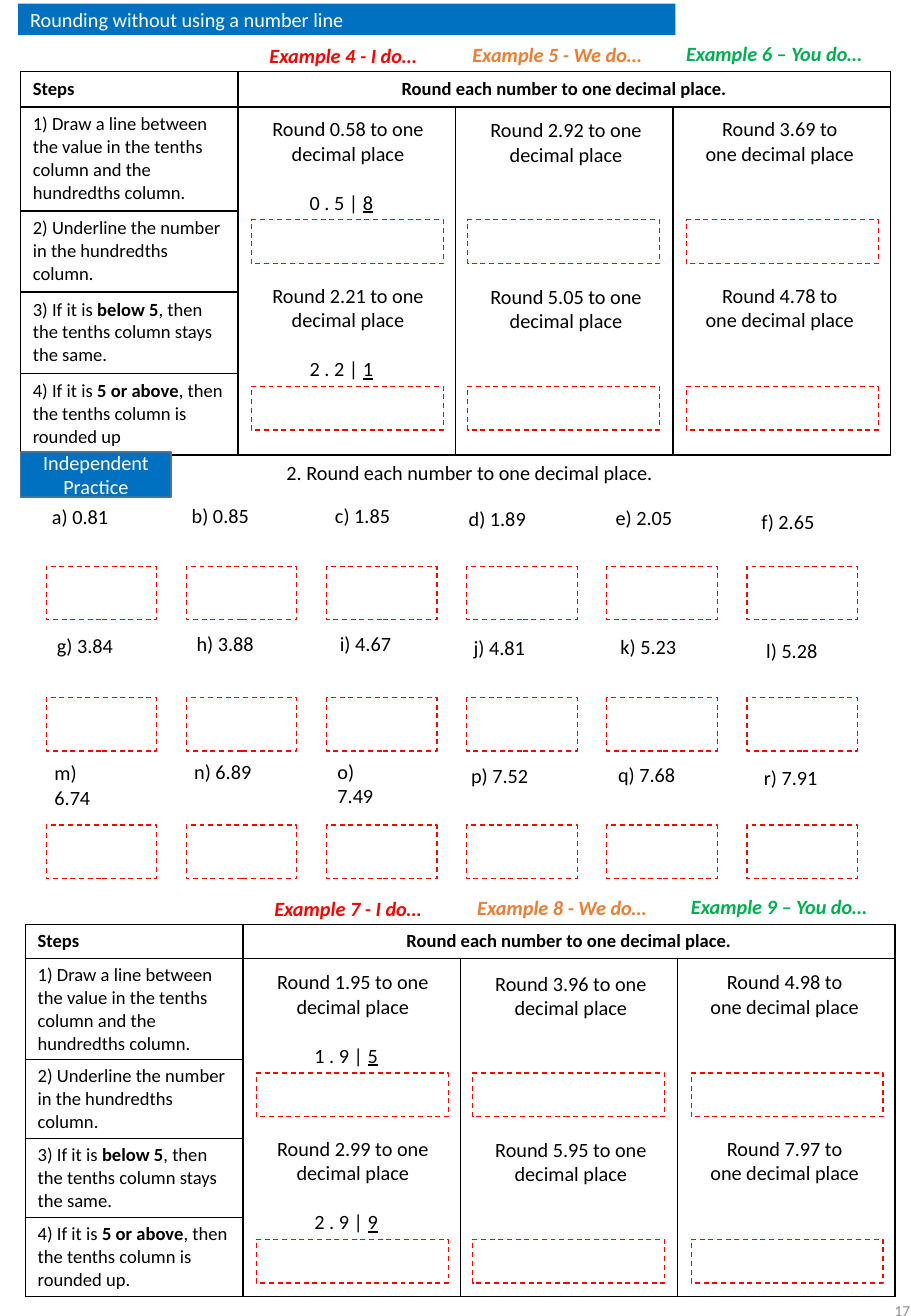
from pptx import Presentation
from pptx.dml.color import RGBColor
from pptx.enum.dml import MSO_LINE
from pptx.enum.shapes import MSO_SHAPE
from pptx.enum.text import MSO_ANCHOR, MSO_AUTO_SIZE, PP_ALIGN
from pptx.oxml import parse_xml
from pptx.oxml.ns import nsdecls
from pptx.util import Inches, Pt

COLOURS = {
    "black": "000000", "white": "FFFFFF", "blue": "0070C0", "edge": "43739E",
    "red": "FF0000", "orange": "ED7D31", "green": "00B050", "grey": "8C8C8C",
}

presentation = Presentation()
presentation.slide_width = Inches(7.5)
presentation.slide_height = Inches(10.83)
slide = presentation.slides.add_slide(presentation.slide_layouts[6])


def write(frame, lines, size=12, colour="black", align=PP_ALIGN.LEFT, emphasis="bold"):
    """Fill a frame; a part between asterisks gets the emphasis."""
    for number, line in enumerate(lines):
        paragraph = frame.paragraphs[0] if number == 0 else frame.add_paragraph()
        paragraph.alignment = align
        paragraph.font.size = Pt(size)
        paragraph.font.name = "Calibri"
        paragraph.font.color.rgb = RGBColor.from_string(COLOURS[colour])
        for index, part in enumerate(line.split("*")):
            if part:
                run = paragraph.add_run()
                run.text = part
                if index % 2:
                    setattr(run.font, emphasis, True)


def add_box(left, top, width, height, fill=None, line=None, wrap=True):
    """Add a rectangle when a fill is given, otherwise a text box."""
    place = [Inches(length) for length in (left, top, width, height)]
    if fill is None:
        shape = slide.shapes.add_textbox(*place)
        shape.text_frame.auto_size = MSO_AUTO_SIZE.SHAPE_TO_FIT_TEXT
    else:
        shape = slide.shapes.add_shape(MSO_SHAPE.RECTANGLE, *place)
        shape.shadow.inherit = False
        shape.fill.solid()
        shape.fill.fore_color.rgb = RGBColor.from_string(COLOURS[fill])
        if line is None:
            shape.line.fill.background()
        else:
            shape.line.color.rgb = RGBColor.from_string(COLOURS[line])
            shape.line.width = Pt(1)
        if line == "red":
            shape.line.width = Pt(0.75)
            shape.line.dash_style = MSO_LINE.DASH
    shape.text_frame.word_wrap = wrap
    return shape


# Worked example blocks: a steps table with three example columns
steps = [
    "1) Draw a line between the value in the tenths column and the hundredths column.",
    "2) Underline the number in the hundredths column.",
    "3) If it is *below 5*, then the tenths column stays the same.",
    "4) If it is *5 or above*, then the tenths column is rounded up",
]
blocks = [
    dict(left=0.17, top=0.59, rows=[0.29, 0.85, 0.67, 0.67, 0.67], margin=0.05, ending="",
         titles=["Example 4 - I do…", "Example 5 - We do…", "Example 6 – You do…"],
         questions=[["0.58", "2.92", "3.69"], ["2.21", "5.05", "4.78"]],
         workings=["0 . 5 | *8*", "2 . 2 | *1*"]),
    dict(left=0.21, top=7.61, rows=[0.28, 0.83, 0.65, 0.65, 0.65], margin=0.04, ending=".",
         titles=["Example 7 - I do…", "Example 8 - We do…", "Example 9 – You do…"],
         questions=[["1.95", "3.96", "4.98"], ["2.99", "5.95", "7.97"]],
         workings=["1 . 9 | *5*", "2 . 9 | *9*"]),
]
# Offsets from the table's corner: left, top, width
title_places = [(1.95, -0.28, 1.54), (3.62, -0.29, 1.82), (5.38, -0.3, 1.8)]
question_places = [(1.92, 0.32, 1.55), (3.6, 0.33, 1.78), (5.53, 0.32, 1.44)]
answer_lefts = [1.9, 3.68, 5.48]
title_colours = ["red", "orange", "green"]
column_width, question_step = 1.79, 1.37

for block in blocks:
    left, top = block["left"], block["top"]
    table = slide.shapes.add_table(5, 4, Inches(left), Inches(top),
                                   Inches(4 * column_width), Inches(sum(block["rows"]))).table
    table.first_row = table.horz_banding = False
    for column in table.columns:
        column.width = Inches(column_width)
    for row, height in zip(table.rows, block["rows"]):
        row.height = Inches(height)

    # Cell borders, fills and small empty paragraphs
    for cell in table.iter_cells():
        properties = cell._tc.get_or_add_tcPr()
        for side in ("lnL", "lnR", "lnT", "lnB"):
            properties.append(parse_xml(
                f'<a:{side} {nsdecls("a")} w="12700"><a:solidFill>'
                f'<a:srgbClr val="{COLOURS["black"]}"/></a:solidFill></a:{side}>'))
        cell.fill.solid()
        cell.fill.fore_color.rgb = RGBColor.from_string(COLOURS["white"])
        cell.margin_top = cell.margin_bottom = Inches(block["margin"])
        cell.text_frame.paragraphs[0]._p.get_or_add_endParaRPr().set("sz", "1100")

    table.cell(0, 1).merge(table.cell(0, 3))
    for column in range(1, 4):
        table.cell(1, column).merge(table.cell(4, column))
    write(table.cell(0, 0).text_frame, ["*Steps*"], 11)
    write(table.cell(0, 1).text_frame, ["*Round each number to one decimal place.*"], 11,
          align=PP_ALIGN.CENTER)
    for row, step in enumerate(steps, 1):
        ending = block["ending"] if row == len(steps) else ""
        write(table.cell(row, 0).text_frame, [step + ending], 11)

    # Example titles
    for title, colour, (x, y, width) in zip(block["titles"], title_colours, title_places):
        frame = add_box(left + x, top + y, width, 0.3).text_frame
        write(frame, [title], colour=colour)
        frame.paragraphs[0].font.bold = frame.paragraphs[0].font.italic = True

    # Questions, workings and dashed answer boxes
    for row, numbers in enumerate(block["questions"]):
        shift = top + row * question_step
        for column, (number, (x, y, width)) in enumerate(zip(numbers, question_places)):
            lines = [f"Round {number} to one decimal place"]
            if column == 0:
                lines.append(block["workings"][row])
            frame = add_box(left + x, shift + y, width, 1.11 if column == 0 else 0.5).text_frame
            write(frame, lines, align=PP_ALIGN.CENTER, emphasis="underline")
            if column == 0:
                working = frame.paragraphs[1]
                working.space_before = Pt(14.65)
                working._p.get_or_add_pPr().set("marR", str(Inches(0.11)))
            add_box(left + answer_lefts[column], shift + 1.22, 1.58, 0.36, "white", "red")

# Independent practice: six columns by three rows
write(add_box(2.26, 3.74, 3.3, 0.3, wrap=False).text_frame,
      ["2. Round each number to one decimal place."])
practice = [
    ["a) 0.81", "b) 0.85", "c) 1.85", "d) 1.89", "e) 2.05", "f) 2.65"],
    ["g) 3.84", "h) 3.88", "i) 4.67", "j) 4.81", "k) 5.23", "l) 5.28"],
    ["m) 6.74", "n) 6.89", "o) 7.49", "p) 7.52", "q) 7.68", "r) 7.91"],
]
practice_rows = [(0, 4.09, 4.66), (0.04, 5.15, 5.74), (0.02, 6.2, 6.79)]
label_places = [(0.33, 0.01, 0.67), (1.48, 0, 0.68), (2.66, 0, 0.66),
                (3.76, 0.03, 0.68), (4.97, 0.02, 0.68), (6.17, 0.05, 0.64)]
first_left, last_left = 0.38, 6.15
answer_step = (last_left - first_left) / 5
for labels, (indent, label_top, answer_top) in zip(practice, practice_rows):
    for column, (label, (x, drop, width)) in enumerate(zip(labels, label_places)):
        write(add_box(x + indent, label_top + drop, width, 0.3, wrap=False).text_frame, [label])
        add_box(first_left + column * answer_step, answer_top, 0.91, 0.44, "white", "red")

# Page number, practice tag and heading bar
page_number = add_box(5.9, 10.49, 1.69, 0.58).text_frame
page_number.auto_size = MSO_AUTO_SIZE.NONE
write(page_number, ["17"], 9, "grey", PP_ALIGN.RIGHT)
practice_tag = add_box(0.17, 3.72, 1.24, 0.37, "blue", "edge").text_frame
write(practice_tag, ["Independent Practice"], colour="white", align=PP_ALIGN.CENTER)
heading = add_box(0.15, 0.03, 5.41, 0.26, "blue").text_frame
write(heading, ["Rounding without using a number line"], colour="white")
for frame in (page_number, practice_tag, heading):
    frame.vertical_anchor = MSO_ANCHOR.MIDDLE

presentation.save("out.pptx")
